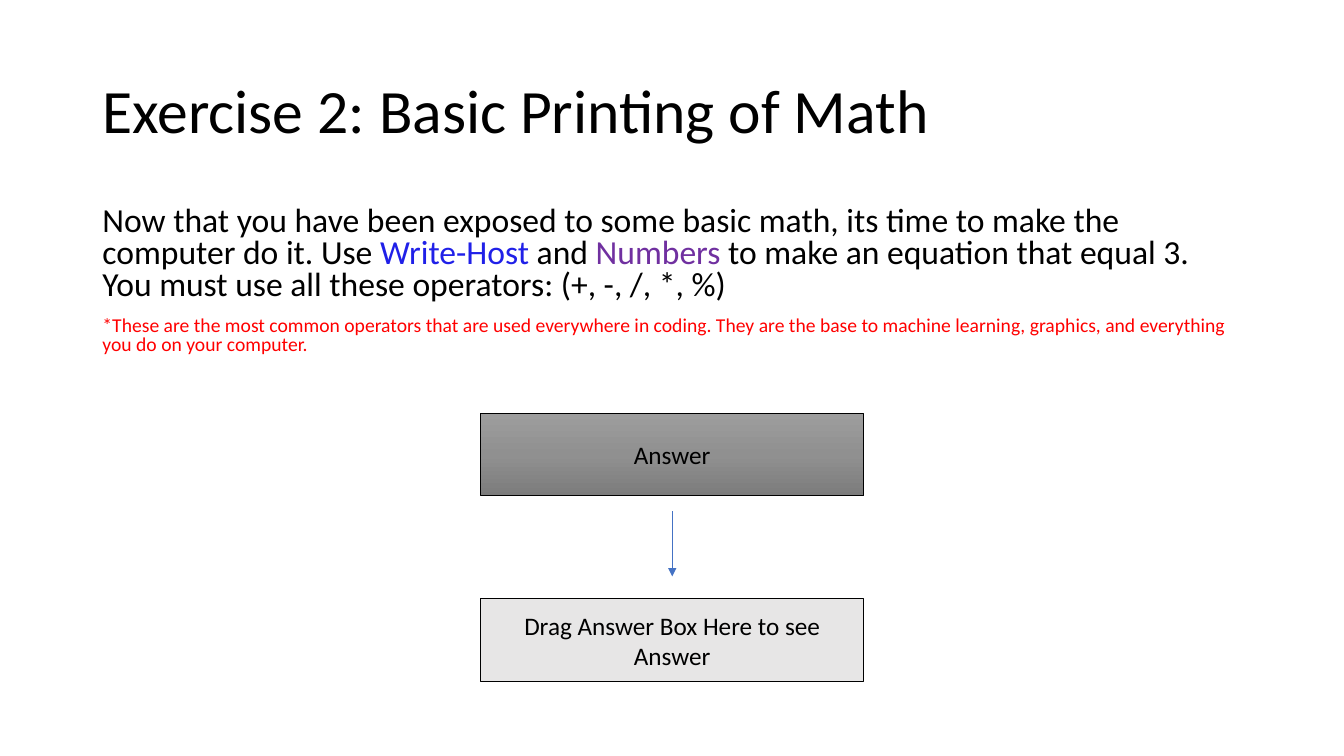
from copy import deepcopy
from dataclasses import dataclass

from lxml import etree
from pptx import Presentation
from pptx import util as u
from pptx.dml import color
from pptx.enum import shapes, text
from pptx.oxml import ns


@dataclass(frozen=True)
class Theme:
    """Colours, type sizes and font of the slide."""
    font: str = "Calibri"
    ink: str = "000000"
    command: str = "2020E8"
    number: str = "7030A0"
    note: str = "FF0000"
    arrow: str = "4472C4"
    target: str = "E7E6E6"
    answer: tuple = ((0, "9D9D9D"), (0.5, "909090"), (1, "7C7C7C"))
    title_size: int = 44
    body_size: int = 24
    note_size: int = 14
    label_size: int = 18
    hairline: float = 0.5


THEME = Theme()


def rgb(code):
    """Turn a hex code into a colour."""
    return color.RGBColor.from_string(code)


def write(paragraph, parts, size, align=text.PP_ALIGN.LEFT, spacing=1.0, before=0):
    """Fill a paragraph with (words, colour) parts in one format."""
    paragraph.alignment = align
    paragraph.line_spacing = spacing
    paragraph.space_before = u.Pt(before)
    for words, code in parts:
        run = paragraph.add_run()
        run.text = words
        run.font.name = THEME.font
        run.font.size = u.Pt(size)
        run.font.color.rgb = rgb(code)


def place(holder, box, anchor):
    """Move a placeholder to a box and return its text frame."""
    holder.left, holder.top, holder.width, holder.height = map(u.Pt, box)
    frame = holder.text_frame
    frame.auto_size = text.MSO_AUTO_SIZE.NONE
    frame.word_wrap = True
    frame.vertical_anchor = anchor
    return frame


def remove_bullet(paragraph):
    """Set a list paragraph flush left without a bullet."""
    properties = paragraph._p.get_or_add_pPr()
    properties.set("marL", "0")
    properties.set("indent", "0")
    etree.SubElement(properties, ns.qn("a:buNone"))


def add_heading(slide, box):
    """Write the exercise title."""
    frame = place(slide.shapes.title, box, text.MSO_ANCHOR.MIDDLE)
    write(frame.paragraphs[0], [("Exercise 2: Basic Printing of Math", THEME.ink)],
          THEME.title_size, spacing=0.9)


def add_instructions(slide, box):
    """Write the task and the note below it."""
    frame = place(slide.placeholders[1], box, text.MSO_ANCHOR.TOP)
    task, note = frame.paragraphs[0], frame.add_paragraph()
    for paragraph in (task, note):
        remove_bullet(paragraph)
    write(task, [
        ("Now that you have been exposed to some basic math, its time to make "
         "the computer do it. Use ", THEME.ink),
        ("Write-Host ", THEME.command),
        ("and ", THEME.ink),
        ("Numbers ", THEME.number),
        ("to make an equation that equal 3. You must use all these operators: "
         "(+, -, /, *, %)", THEME.ink),
    ], THEME.body_size, spacing=0.8)
    write(note, [
        ("*These are the most common operators that are used everywhere in coding. "
         "They are the base to machine learning, graphics, and everything you do "
         "on your computer.", THEME.note),
    ], THEME.note_size, spacing=0.8, before=10)


def shade(fill, stops):
    """Apply a top-to-bottom gradient of three (position, colour) stops."""
    fill.gradient()
    fill.gradient_angle = 270
    first = fill.gradient_stops[0]._gs
    first.addnext(deepcopy(first))
    for stop, (position, code) in zip(fill.gradient_stops, stops):
        stop.position = position
        stop.color.rgb = rgb(code)


def add_box(slide, box, label):
    """Draw an outlined box with a centred label and return it."""
    panel = slide.shapes.add_shape(shapes.MSO_SHAPE.RECTANGLE, *map(u.Pt, box))
    panel.shadow.inherit = False
    panel.line.color.rgb = rgb(THEME.ink)
    panel.line.width = u.Pt(THEME.hairline)
    frame = panel.text_frame
    frame.word_wrap = True
    frame.vertical_anchor = text.MSO_ANCHOR.MIDDLE
    write(frame.paragraphs[0], [(label, THEME.ink)], THEME.label_size,
          align=text.PP_ALIGN.CENTER)
    return panel


def add_arrow(slide, x, top, bottom):
    """Draw a downward arrow."""
    arrow = slide.shapes.add_connector(
        shapes.MSO_CONNECTOR.STRAIGHT, *map(u.Pt, (x, top, x, bottom)))
    arrow.line.color.rgb = rgb(THEME.arrow)
    arrow.line.width = u.Pt(THEME.hairline)
    etree.SubElement(arrow.line._get_or_add_ln(), ns.qn("a:tailEnd"), type="triangle")
    etree.SubElement(arrow._element.spPr, ns.qn("a:effectLst"))


def add_reveal(slide, box):
    """Stack the answer box, the arrow and the drop target."""
    left, top, width, height = box
    box_height = 59
    target_top = top + height - box_height
    target = add_box(slide, (left, target_top, width, box_height),
                     "Drag Answer Box Here to see Answer")
    target.fill.solid()
    target.fill.fore_color.rgb = rgb(THEME.target)
    answer = add_box(slide, (left, top, width, box_height), "Answer")
    shade(answer.fill, THEME.answer)
    add_arrow(slide, left + width / 2, top + box_height + 11, target_top - 16)


def main():
    """Build and save the exercise slide."""
    deck = Presentation()
    deck.slide_width, deck.slide_height = u.Pt(960), u.Pt(540)
    slide = deck.slides.add_slide(deck.slide_layouts[1])
    for holder in list(slide.placeholders)[2:]:
        holder._element.getparent().remove(holder._element)
    add_heading(slide, (66, 28.75, 828, 104.4))
    add_instructions(slide, (66, 144, 828, 141))
    add_reveal(slide, (343.4, 295.2, 273.6, 191.5))
    deck.save("out.pptx")


if __name__ == "__main__":
    main()
